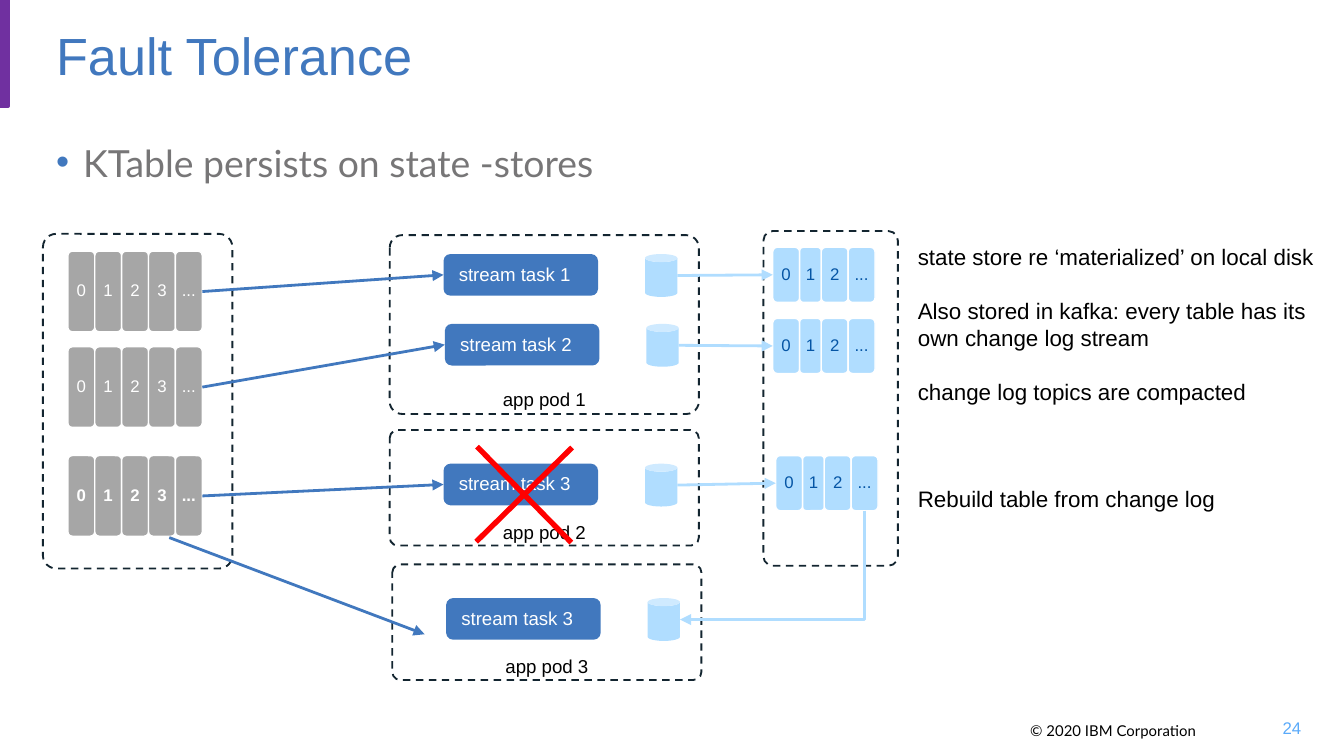
from lxml import etree
from pptx import Presentation
from pptx.dml.color import RGBColor
from pptx.enum.dml import MSO_LINE
from pptx.enum.shapes import MSO_CONNECTOR as LINK, MSO_SHAPE as SHAPE
from pptx.enum.text import MSO_ANCHOR as ANCHOR, PP_ALIGN as ALIGN
from pptx.oxml.ns import qn
from pptx.util import Pt

BLUE = RGBColor(0x41, 0x78, 0xBE)
LIGHT_BLUE = RGBColor(0xB0, 0xDD, 0xFF)
DEEP_BLUE = RGBColor(0x05, 0x55, 0xA5)
NUMBER_BLUE = RGBColor(0x5A, 0xAA, 0xFA)
PURPLE = RGBColor(0x70, 0x30, 0xA0)
GRAY = RGBColor(0xA6, 0xA6, 0xA6)
TEXT_GRAY = RGBColor(0x77, 0x76, 0x77)
NAVY = RGBColor(0x13, 0x25, 0x30)
RED = RGBColor(0xFF, 0, 0)
WHITE = RGBColor(0xFF, 0xFF, 0xFF)
BLACK = RGBColor(0, 0, 0)

TITLE = "Fault Tolerance"
BULLET = "KTable persists on state -stores"
COPYRIGHT = "© 2020 IBM Corporation"
PAGE_NUMBER = "24"

# (text, space before)
NOTES = [
    ("state store re ‘materialized’ on local disk", 0),
    ("Also stored in kafka: every table has its own change log stream", 14.5),
    ("change log topics are compacted", 14.5),
    ("Rebuild table from change log", 43),
]

# (label, left, top, width, height); a topic frame has no label
FRAMES = [
    ("", 23, 125.3, 101.5, 179.3),
    ("", 409, 123.8, 72, 179.3),
    ("app pod 1", 208.8, 126, 165.6, 95.8),
    ("app pod 2", 208.8, 230.4, 165.6, 61.9),
    ("app pod 3", 210.2, 302.4, 165.6, 61.9),
]

SOURCE_CELLS = [("0", 14.4), ("1", 14.4), ("2", 14.4), ("3", 14.4), ("...", 14.4)]
CHANGELOG_CELLS = [("0", 14.4), ("1", 11.6), ("2", 14.4), ("...", 14.4)]

# one flow per task: source row top, bold, task left, task top, log left, log top
FLOWS = [
    ("stream task 1", 134.6, False, 237.6, 136.1, 414, 132.5),
    ("stream task 2", 185.8, False, 238.3, 173.5, 414, 170.6),
    ("stream task 3", 244.1, True, 237.6, 248.4, 415.6, 244.1),
]
REBUILT_TASK = ("stream task 3", 239, 320.4)
SOURCE_LEFT, SOURCE_HEIGHT, LOG_HEIGHT = 36.4, 43.2, 29.5
TASK_SIZE = (82.8, 22.3)
STORE_SIZE = (17.3, 23)
STORE_OFFSET = 108


def points(*values):
    return [Pt(value) for value in values]


def add_run(paragraph, text, size, color, font="Arial", bold=None):
    run = paragraph.add_run()
    run.text = text
    run.font.name, run.font.size, run.font.bold = font, Pt(size), bold
    run.font.color.rgb = color


def add_text(box, text, size, color, font="Arial", align=ALIGN.LEFT, anchor=ANCHOR.TOP):
    textbox = slide.shapes.add_textbox(*points(*box))
    frame = textbox.text_frame
    frame.word_wrap = True
    frame.vertical_anchor = anchor
    paragraph = frame.paragraphs[0]
    paragraph.alignment = align
    add_run(paragraph, text, size, color, font)
    return frame


def add_block(shapes, kind, box, fill=None, line=None, width=0.75):
    shape = shapes.add_shape(kind, *points(*box))
    shape.shadow.inherit = False
    if fill is None:
        shape.fill.background()
    else:
        shape.fill.solid()
        shape.fill.fore_color.rgb = fill
    if line is None:
        shape.line.fill.background()
    else:
        shape.line.color.rgb = line
        shape.line.width = Pt(width)
    return shape


def label(shape, text, size, color, align=ALIGN.CENTER, anchor=ANCHOR.MIDDLE,
          inset=True, bold=None):
    frame = shape.text_frame
    frame.vertical_anchor = anchor
    if not inset:
        frame.margin_left = frame.margin_right = 0
        frame.margin_top = frame.margin_bottom = 0
    paragraph = frame.paragraphs[0]
    paragraph.alignment = align
    add_run(paragraph, text, size, color, bold=bold)
    return paragraph


def add_partitions(shapes, cells, left, top, height, fill, color, bold=None):
    """Draw one row of partition cells and return them."""
    row = []
    for text, width in cells:
        cell = add_block(shapes, SHAPE.ROUNDED_RECTANGLE, (left, top, width, height), fill, WHITE)
        label(cell, text, 9, color, inset=False, bold=bold).line_spacing = 0.9
        row.append(cell)
        left += width
    return row


def add_task(text, left, top):
    """Draw a task with its state store; return both."""
    task = add_block(slide.shapes, SHAPE.ROUNDED_RECTANGLE, (left, top, *TASK_SIZE), BLUE)
    label(task, text, 10, WHITE, ALIGN.LEFT, ANCHOR.TOP)
    store = add_block(slide.shapes, SHAPE.CAN, (left + STORE_OFFSET, top, *STORE_SIZE), LIGHT_BLUE)
    return task, store


def add_arrow(start, end, color, kind=LINK.STRAIGHT):
    arrow = slide.shapes.add_connector(kind, *start, *end)
    arrow.line.color.rgb = color
    arrow.line.width = Pt(1.5)
    etree.SubElement(arrow.line._get_or_add_ln(), qn("a:tailEnd"), type="triangle")
    etree.SubElement(arrow._element.spPr, qn("a:effectLst"))
    return arrow


def right_middle(shape):
    return shape.left + shape.width, shape.top + shape.height // 2


def left_middle(shape):
    return shape.left, shape.top + shape.height // 2


def add_corner_arrow(start, end, color):
    """Go straight down from start, then left to end."""
    (x1, y1), (x2, y2) = start, end
    center_x, center_y = (x1 + x2) // 2, (y1 + y2) // 2
    half_run, half_drop = (x1 - x2) // 2, (y2 - y1) // 2
    # the box lies unrotated, so its width is the drop and its height the run
    arrow = add_arrow((center_x - half_drop, center_y - half_run),
                      (center_x + half_drop, center_y + half_run), color, LINK.ELBOW)
    properties = arrow._element.spPr
    properties.find(qn("a:xfrm")).set("rot", str(90 * 60000))
    properties.find(qn("a:prstGeom")).set("prst", "bentConnector2")


presentation = Presentation()
presentation.slide_width, presentation.slide_height = points(720, 405)
slide = presentation.slides.add_slide(presentation.slide_layouts[6])

add_block(slide.shapes, SHAPE.RECTANGLE, (0, 0, 4.3, 56.9), PURPLE, PURPLE, 2)
add_text((504, 383, 144, 14.4), COPYRIGHT, 8, BLACK, "Lato", ALIGN.RIGHT)
add_text((23, 3.6, 661, 51.8), TITLE, 28, BLUE, anchor=ANCHOR.MIDDLE)
add_text((672.5, 379.4, 31.7, 21.6), PAGE_NUMBER, 9, NUMBER_BLUE,
         align=ALIGN.RIGHT, anchor=ANCHOR.MIDDLE)

body = add_text((23, 71.3, 661, 37.4), BULLET, 20, TEXT_GRAY, "Lato")
bullet = body.paragraphs[0]._p.get_or_add_pPr()
bullet.set("marL", str(Pt(14.4)))
bullet.set("indent", str(-Pt(14.4)))
bullet_color = etree.SubElement(bullet, qn("a:buClr"))
etree.SubElement(bullet_color, qn("a:srgbClr"), val=str(BLUE))
etree.SubElement(bullet, qn("a:buFont"), typeface="Arial")
etree.SubElement(bullet, qn("a:buChar"), char="•")

for text, *box in FRAMES:
    frame = add_block(slide.shapes, SHAPE.ROUNDED_RECTANGLE, box, line=NAVY, width=1)
    frame.adjustments[0] = 0.07
    frame.line.dash_style = MSO_LINE.DASH
    if text:
        label(frame, text, 10, BLACK, anchor=ANCHOR.BOTTOM, inset=False)

for text, source_top, bold, task_left, task_top, log_left, log_top in FLOWS:
    source = add_partitions(slide.shapes, SOURCE_CELLS, SOURCE_LEFT, source_top,
                            SOURCE_HEIGHT, GRAY, WHITE, bold)
    task, store = add_task(text, task_left, task_top)
    log_group = slide.shapes.add_group_shape()
    log = add_partitions(log_group.shapes, CHANGELOG_CELLS, log_left, log_top,
                         LOG_HEIGHT, LIGHT_BLUE, DEEP_BLUE)
    feed = add_arrow(right_middle(source[-1]), left_middle(task), BLUE)
    feed.begin_connect(source[-1], 3)
    feed.end_connect(task, 1)
    backup = add_arrow(right_middle(store), left_middle(log[0]), LIGHT_BLUE)
    backup.end_connect(log[0], 1)

notes = add_text((484.6, 126.7, 231.1, 167), NOTES[0][0], 12, BLACK)
for text, gap in NOTES[1:]:
    paragraph = notes.add_paragraph()
    paragraph.space_before = Pt(gap)
    add_run(paragraph, text, 12, BLACK)

failure = add_block(slide.shapes, SHAPE.CROSS, (244.8, 229, 72, 72), RED)
failure.adjustments[0] = 0.48
failure.rotation = 45.5

_, rebuilt_store = add_task(*REBUILT_TASK)
last_log_cell = log[-1]
add_corner_arrow((last_log_cell.left + last_log_cell.width // 2,
                  last_log_cell.top + last_log_cell.height),
                 right_middle(rebuilt_store), LIGHT_BLUE)
add_arrow(points(90.7, 288), points(227.5, 339.8), BLUE)

presentation.save("out.pptx")
